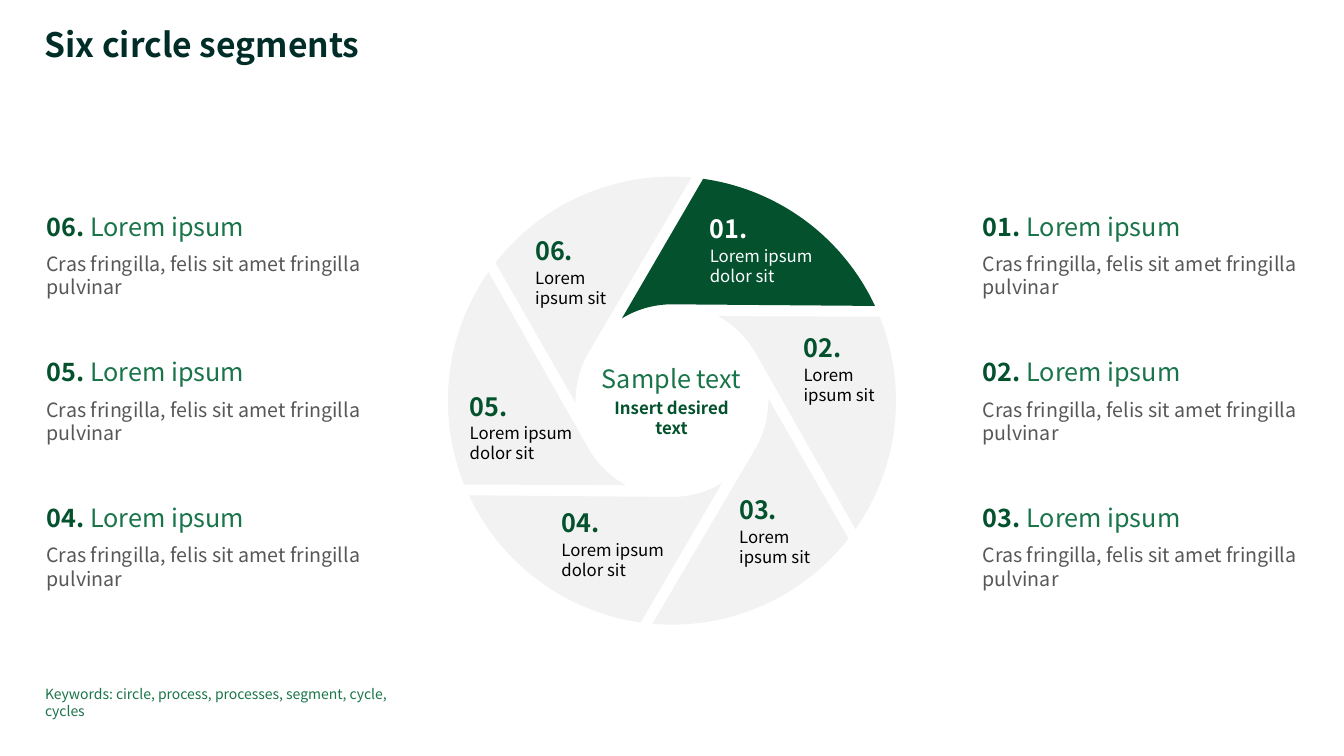
from math import cos, radians, sin, tan

from lxml.etree import SubElement
from pptx import Presentation
from pptx.dml.color import RGBColor
from pptx.enum.text import MSO_ANCHOR as Anchor, MSO_AUTO_SIZE as AutoSize, PP_ALIGN as Align
from pptx.oxml.ns import qn
from pptx.util import Pt

FONT = "Noto Sans CJK JP"
DARK_TEAL = RGBColor(0x00, 0x2D, 0x28)
DARK_GREEN = RGBColor(0x03, 0x52, 0x2D)
GREEN = RGBColor(0x1A, 0x74, 0x49)
LIGHT_GRAY = RGBColor(0xF2, 0xF2, 0xF2)
GRAY = RGBColor(0x57, 0x57, 0x57)
WHITE = RGBColor(0xFF, 0xFF, 0xFF)
BLACK = RGBColor(0x00, 0x00, 0x00)

LINE_HEIGHT = 1.2
RING_TILT = 30
SEGMENT_STEP = 60
OUTER_ANGLES = (-82, -53.5, -25)
INNER_ANGLES = (-90, -121.3)
INNER_RATIO = 0.43
CURVE_STARTS = (0, 3, 7)

SEGMENTS = [
    ("01.", "Lorem ipsum dolor sit", 187, 26),
    ("02.", "Lorem ipsum sit", 254, 111.2),
    ("03.", "Lorem ipsum sit", 208, 227.2),
    ("04.", "Lorem ipsum dolor sit", 81, 236),
    ("05.", "Lorem ipsum dolor sit", 15.5, 153),
    ("06.", "Lorem ipsum sit", 62.3, 42.2),
]
ITEM_HEADING = "Lorem ipsum"
ITEM_TEXT = "Cras fringilla, felis sit amet fringilla pulvinar"


def prepare_frame(shape, anchor=Anchor.TOP):
    frame = shape.text_frame
    frame.margin_left = frame.margin_top = frame.margin_right = frame.margin_bottom = 0
    frame.word_wrap = True
    frame.auto_size = AutoSize.SHAPE_TO_FIT_TEXT
    frame.vertical_anchor = anchor
    return frame


def write_runs(paragraph, size, runs, align=Align.LEFT, after=0):
    paragraph.alignment = align
    paragraph.line_spacing = Pt(size * LINE_HEIGHT)
    paragraph.space_before = Pt(0)
    paragraph.space_after = Pt(after)
    for text, color, bold in runs:
        run = paragraph.add_run()
        run.text = text
        run.font.name = FONT
        run.font.size = Pt(size)
        run.font.bold = bold
        run.font.color.rgb = color


def add_text(slide, left, top, width, height, size, runs, anchor=Anchor.TOP, after=0):
    box = slide.shapes.add_textbox(Pt(left), Pt(top), Pt(width), Pt(height))
    frame = prepare_frame(box, anchor)
    write_runs(frame.paragraphs[0], size, runs, after=after)
    return frame


def add_title(slide, left, top, width, height):
    title = slide.shapes.title
    title.left, title.top, title.width, title.height = Pt(left), Pt(top), Pt(width), Pt(height)
    paragraph = prepare_frame(title).paragraphs[0]
    write_runs(paragraph, 24, [("Six circle segments", DARK_TEAL, True)])
    paragraph.line_spacing = Pt(26)


def arc_points(center_x, center_y, radius, turn, angles):
    def point(angle, offset=0):
        x = center_x + radius * (cos(angle) - offset * sin(angle))
        y = center_y + radius * (sin(angle) + offset * cos(angle))
        return Pt(x), Pt(y)

    turned = [radians(turn + angle) for angle in angles]
    points = [point(turned[0])]
    for start, end in zip(turned, turned[1:]):
        handle = 4 / 3 * tan((end - start) / 4)
        points += [point(start, handle), point(end, -handle), point(end)]
    return points


def bend_arcs(segment):
    lines = list(segment.element.iter(qn("a:lnTo")))
    for first in CURVE_STARTS:
        corners = lines[first:first + 3]
        outline = corners[0].getparent()
        curve = SubElement(outline, qn("a:cubicBezTo"))
        corners[0].addprevious(curve)
        for corner in corners:
            curve.append(corner[0])
            outline.remove(corner)


def add_segments(slide, left, top, size):
    radius = size / 2
    center = (left + radius, top + radius)
    segments = []
    for index in range(len(SEGMENTS)):
        turn = index * SEGMENT_STEP - RING_TILT
        outer = arc_points(*center, radius, turn, OUTER_ANGLES)
        inner = arc_points(*center, radius * INNER_RATIO, turn, INNER_ANGLES)
        builder = slide.shapes.build_freeform(*outer[0])
        builder.add_line_segments(outer[1:] + inner, close=True)
        segment = builder.convert_to_shape()
        bend_arcs(segment)
        segment.shadow.inherit = False
        segment.fill.solid()
        segment.fill.fore_color.rgb = DARK_GREEN if index == 0 else LIGHT_GRAY
        segment.line.fill.background()
        segments.append(segment)
    slide.shapes.add_group_shape(segments).rotation = RING_TILT


def add_ring(slide, left, top, size):
    add_segments(slide, left, top, size)
    for index, (number, text, x, y) in enumerate(SEGMENTS):
        number_color, text_color = (WHITE, WHITE) if index == 0 else (DARK_GREEN, BLACK)
        width = 73.5 if "dolor" in text else 62.6
        add_text(slide, left + x, top + y + 23, width, 28.8, 12, [(text, text_color, False)])
        add_text(slide, left + x, top + y, width, 21.6, 18,
                 [(number, number_color, True)], Anchor.MIDDLE)
    frame = add_text(slide, left + 110, top + 133.2, 99.4, 54, 18,
                     [("Sample text", GREEN, False)], Anchor.MIDDLE, after=3)
    frame.paragraphs[0].alignment = Align.CENTER
    write_runs(frame.add_paragraph(), 12, [("Insert desired text", DARK_GREEN, True)],
               Align.CENTER, after=3)


def add_item_column(slide, left, top, width, pitch, numbers):
    for row, number in enumerate(numbers):
        item_top = top + row * pitch
        add_text(slide, left, item_top, width, 21.6, 18,
                 [(f"{number} ", DARK_GREEN, True), (ITEM_HEADING, GREEN, False)])
        add_text(slide, left, item_top + 29.2, width, 33.6, 14,
                 [(ITEM_TEXT, GRAY, False)], after=6)


def add_keywords(slide, left, top, width, height):
    text = "Keywords: circle, process, processes, segment, cycle, cycles"
    add_text(slide, left, top, width, height, 10, [(text, GREEN, False)], after=1.1)


def main():
    presentation = Presentation()
    presentation.slide_width = Pt(960)
    presentation.slide_height = Pt(540)
    slide = presentation.slides.add_slide(presentation.slide_layouts[5])
    numbers = [segment[0] for segment in SEGMENTS]
    add_title(slide, 31.8, 20.2, 794, 26.6)
    add_ring(slide, 320, 126.2, 320)
    add_item_column(slide, 33.2, 150.7, 227.5, 104, numbers[:2:-1])
    add_item_column(slide, 702, 150.7, 227.5, 104, numbers[:3])
    add_keywords(slide, 32.2, 489.6, 271.5, 24)
    presentation.save("out.pptx")


if __name__ == "__main__":
    main()
